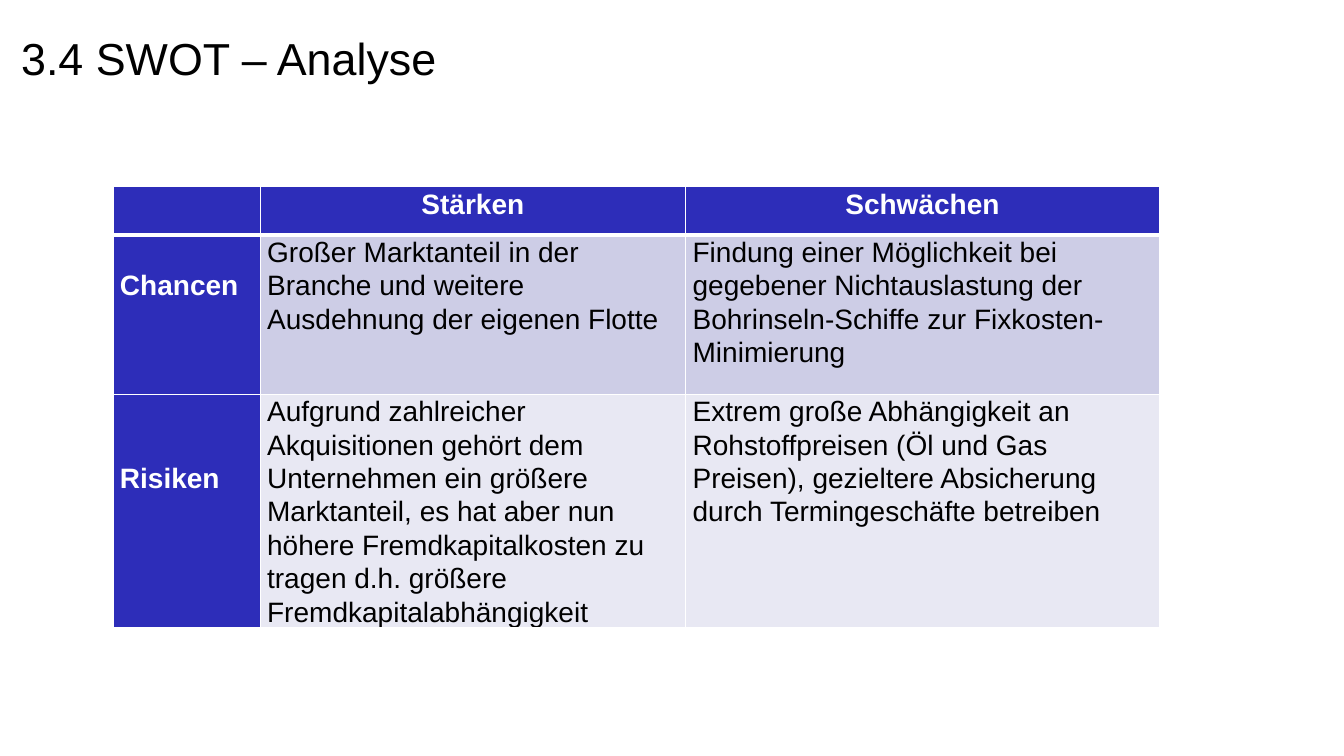
from pptx import Presentation
from pptx.dml.color import RGBColor
from pptx.enum.text import MSO_ANCHOR as Anchor, PP_ALIGN as Align
from pptx.oxml import parse_xml
from pptx.oxml.ns import nsdecls
from pptx.util import Inches, Pt

WIDE, HIGH = 13.33, 7.5
BLUE, WHITE, BLACK = "2D2DB9", "FFFFFF", "000000"
BANDS = ["CDCDE6", "E8E8F3"]
LINE = 0.33

HEADS = ["", "Stärken", "Schwächen"]
SWOT = [
    ["Chancen",
     "Großer Marktanteil in der Branche und weitere Ausdehnung der eigenen Flotte",
     "Findung einer Möglichkeit bei gegebener Nichtauslastung der "
     "Bohrinseln-Schiffe zur Fixkosten-Minimierung"],
    ["Risiken",
     "Aufgrund zahlreicher Akquisitionen gehört dem Unternehmen ein größere "
     "Marktanteil, es hat aber nun höhere Fremdkapitalkosten zu tragen d.h. "
     "größere Fremdkapitalabhängigkeit",
     "Extrem große Abhängigkeit an Rohstoffpreisen (Öl und Gas Preisen), "
     "gezieltere Absicherung durch Termingeschäfte betreiben"],
]


def color(code):
    """Turn a hex string into a colour."""
    return RGBColor.from_string(code)


class Deck:
    """Hold the style and the current slide."""

    def __init__(self, font="Arial"):
        """Start a deck with one title-only slide."""
        self.font = font
        self.prs = Presentation()
        self.prs.slide_width, self.prs.slide_height = Inches(WIDE), Inches(HIGH)
        self.slide = self.prs.slides.add_slide(self.prs.slide_layouts[5])

    def area(self, left, top, wide, high):
        """Turn shares of the slide into lengths."""
        sizes = (WIDE, HIGH, WIDE, HIGH)
        return [Inches(part * size) for part, size in zip((left, top, wide, high), sizes)]

    def style(self, para, size, code, bold=False, align=Align.LEFT):
        """Set the font and alignment of a paragraph."""
        para.alignment = align
        font = para.font
        font.name, font.size, font.bold = self.font, Pt(size), bold
        font.color.rgb = color(code)

    def title(self, text, *box):
        """Place and fill the title."""
        head = self.slide.shapes.title
        head.left, head.top, head.width, head.height = self.area(*box)
        frame = head.text_frame
        frame.text = text
        frame.vertical_anchor = Anchor.MIDDLE
        self.style(frame.paragraphs[0], 32, BLACK)

    def edge(self, cell, side, width):
        """Draw one white border of a cell."""
        cell._tc.get_or_add_tcPr().append(parse_xml(
            f'<a:ln{side} {nsdecls("a")} w="{Pt(width)}"><a:solidFill>'
            f'<a:srgbClr val="{WHITE}"/></a:solidFill></a:ln{side}>'))

    def cell(self, cell, text, row, col):
        """Fill a cell by its place in the table."""
        head, label = row == 0, col == 0
        for side in "LRTB":
            thick = (head and side == "B") or (row == 1 and side == "T")
            self.edge(cell, side, 3 if thick else 1)
        cell.fill.solid()
        cell.fill.fore_color.rgb = color(BLUE if head or label else BANDS[row - 1])
        cell.margin_left = cell.margin_right = Inches(0.07)
        cell.margin_top = Inches(LINE * row if label else 0)
        cell.margin_bottom = 0
        cell.text = text
        para = cell.text_frame.paragraphs[0]
        para.line_spacing = 1.07
        strong = head or label
        self.style(para, 20, WHITE if strong else BLACK, strong,
                   Align.CENTER if head else Align.LEFT)

    def table(self, data, cols, rows, left, top):
        """Add a table from shares of the slide's size."""
        box = self.area(left, top, sum(cols), sum(rows))
        grid = self.slide.shapes.add_table(len(rows), len(cols), *box).table
        for col, share in zip(grid.columns, cols):
            col.width = Inches(share * WIDE)
        for row, share in zip(grid.rows, rows):
            row.height = Inches(share * HIGH)
        for r, line in enumerate(data):
            for c, text in enumerate(line):
                self.cell(grid.cell(r, c), text, r, c)


def main():
    """Build the slide and save it."""
    deck = Deck()
    deck.title("3.4 SWOT – Analyse", 0.11 / WIDE, 0.28 / HIGH, 0.85, 0.58 / HIGH)
    cols = [wide / WIDE for wide in (1.46, 4.22, 4.7)]
    rows = [high / HIGH for high in (0.48, 1.58, 2.24)]
    deck.table([HEADS] + SWOT, cols, rows, 1.12 / WIDE, 1.85 / HIGH)
    deck.prs.save("out.pptx")


if __name__ == "__main__":
    main()
